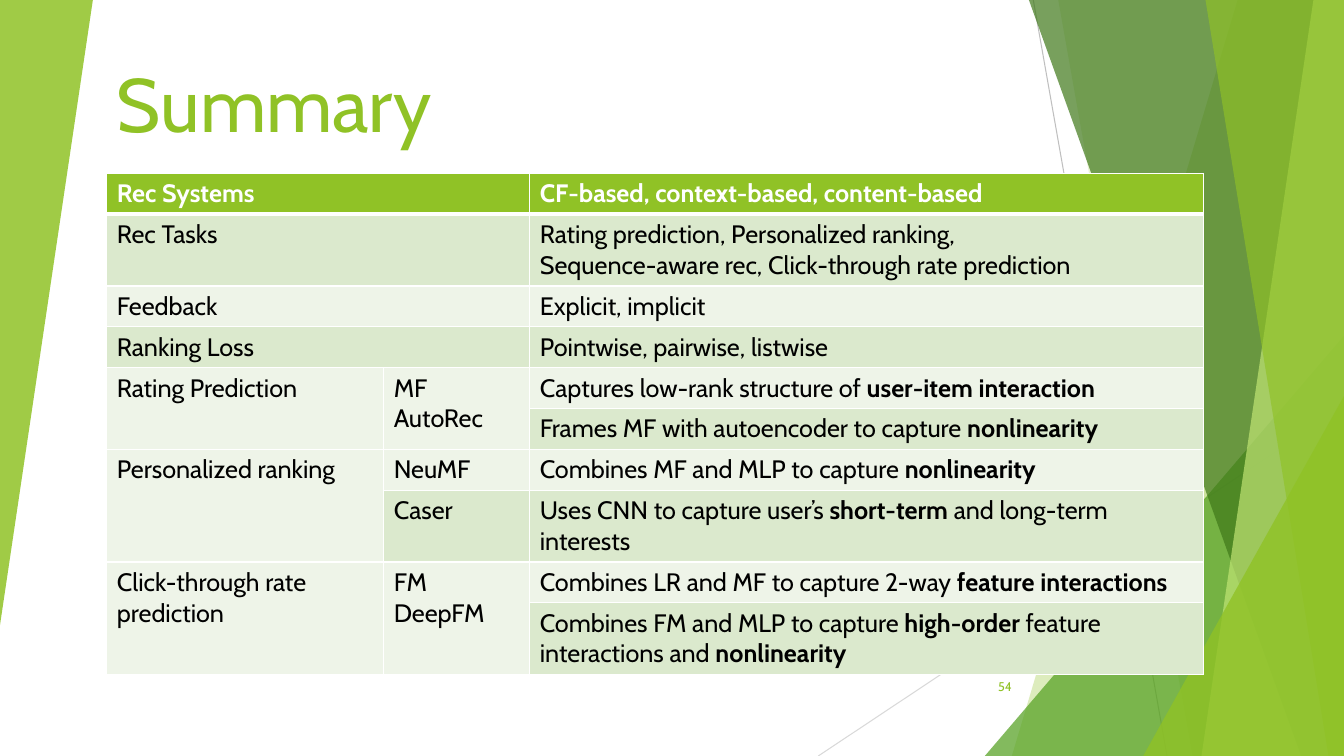
import pptx
import pptx.util
import pptx.dml.color
import pptx.enum.shapes
import pptx.enum.text
import pptx.oxml.ns
from dataclasses import dataclass
from lxml import etree

Cm = pptx.util.Cm
Pt = pptx.util.Pt
qn = pptx.oxml.ns.qn
ALIGN = pptx.enum.text.PP_ALIGN
ANCHOR = pptx.enum.text.MSO_ANCHOR
KIND = pptx.enum.shapes.MSO_SHAPE
WIDE, HIGH = 33.87, 19.05


@dataclass(frozen=True)
class Theme:
    font: str = "Cabin"
    lime: str = "90C226"
    leaf: str = "54A021"
    moss: str = "3F7819"
    pale: str = "C0E474"
    odd: str = "DBE9CD"
    even: str = "EEF4E8"
    white: str = "FFFFFF"
    black: str = "000000"
    grey: str = "BFBFBF"
    mist: str = "D9D9D9"
    title: int = 54
    body: int = 18
    note: int = 9


THEME = Theme()

# Table text: line breaks start paragraphs, ** marks bold
ROWS = [
    ("Rec Systems", "", "CF-based, context-based, content-based"),
    ("Rec Tasks", "", "Rating prediction, Personalized ranking,\n"
     "Sequence-aware rec, Click-through rate prediction"),
    ("Feedback", "", "Explicit, implicit"),
    ("Ranking Loss", "", "Pointwise, pairwise, listwise"),
    ("Rating Prediction", "MF\nAutoRec",
     "Captures low-rank structure of **user-item interaction**"),
    ("", "", "Frames MF with autoencoder to capture **nonlinearity**"),
    ("Personalized ranking", "NeuMF",
     "Combines MF and MLP to capture **nonlinearity**"),
    ("", "Caser",
     "Uses CNN to capture user’s **short-term** and long-term interests"),
    ("Click-through rate prediction", "FM\nDeepFM",
     "Combines LR and MF to capture 2-way **feature interactions**"),
    ("", "", "Combines FM and MLP to capture **high-order** feature "
     "interactions and **nonlinearity**"),
]
# First and last cell (row, column) of each merged block
SPANS = [((r, 0), (r, 1)) for r in range(4)] + [
    ((4, 0), (5, 0)), ((4, 1), (5, 1)), ((6, 0), (7, 0)),
    ((8, 0), (9, 0)), ((8, 1), (9, 1))]


def rgb(code):
    return pptx.dml.color.RGBColor.from_string(code)


def write(frame, text, size=THEME.body, color=THEME.black, bold=False,
          align=ALIGN.LEFT, anchor=ANCHOR.TOP):
    frame.word_wrap = True
    frame.vertical_anchor = anchor
    for i, line in enumerate(text.split("\n")):
        para = frame.add_paragraph() if i else frame.paragraphs[0]
        para.alignment = align
        for j, part in enumerate(line.split("**")):
            if part:
                run = para.add_run()
                run.text = part
                run.font.name = THEME.font
                run.font.size = Pt(size)
                run.font.bold = bold or j % 2 == 1
                run.font.color.rgb = rgb(color)


class Deck:
    def __init__(self, theme):
        self.theme = theme
        self.show = pptx.Presentation()
        self.show.slide_width = Cm(WIDE)
        self.show.slide_height = Cm(HIGH)
        self.slide = self.show.slides.add_slide(self.show.slide_layouts[5])
        self.shapes = self.slide.shapes

    def line(self, x1, y1, x2, y2, color):
        line = self.shapes.add_connector(
            pptx.enum.shapes.MSO_CONNECTOR.STRAIGHT,
            Cm(x1), Cm(y1), Cm(x2), Cm(y2))
        line.line.color.rgb = rgb(color)
        line.line.width = Pt(0.75)
        etree.SubElement(line.element.spPr, qn("a:effectLst"))

    def paint(self, shape, color, alpha):
        shape.shadow.inherit = False
        shape.line.fill.background()
        shape.fill.solid()
        shape.fill.fore_color.rgb = rgb(color)
        tint = shape.element.spPr.find(".//" + qn("a:srgbClr"))
        etree.SubElement(tint, qn("a:alpha"), val=str(alpha * 1000))

    def band(self, top, foot, color, alpha):
        """Fill from a slanted edge to the right side of the slide."""
        pen = self.shapes.build_freeform(Cm(top), 0)
        pen.add_line_segments([(Cm(WIDE), 0), (Cm(WIDE), Cm(HIGH)),
                               (Cm(foot), Cm(HIGH))], close=True)
        self.paint(pen.convert_to_shape(), color, alpha)

    def wedge(self, x, y, wide, high, color, alpha, turn=0):
        shape = self.shapes.add_shape(KIND.ISOSCELES_TRIANGLE, Cm(x), Cm(y),
                                      Cm(wide), Cm(high))
        shape.adjustments[0] = 1
        shape.rotation = turn
        self.paint(shape, color, alpha)

    def title(self, text, x, y, wide, high):
        box = self.shapes.title
        box.left, box.top, box.width, box.height = map(Cm, (x, y, wide, high))
        box.text_frame.auto_size = pptx.enum.text.MSO_AUTO_SIZE.NONE
        write(box.text_frame, text, size=self.theme.title,
              color=self.theme.lime, anchor=ANCHOR.BOTTOM)
        box.element.getparent().append(box.element)  # bring to front

    def label(self, text, x, y, wide, high, **style):
        box = self.shapes.add_textbox(Cm(x), Cm(y), Cm(wide), Cm(high))
        write(box.text_frame, text, **style)

    def edges(self, cell, row):
        """Draw white borders, thick below the header row."""
        props = cell._tc.get_or_add_tcPr()
        thick = {"T": row == 1, "B": row == 0}
        for i, side in enumerate("LRTB"):
            edge = etree.Element(qn("a:ln" + side),
                                 w=str(Pt(3 if thick.get(side) else 1)))
            fill = etree.SubElement(edge, qn("a:solidFill"))
            etree.SubElement(fill, qn("a:srgbClr"), val=self.theme.white)
            props.insert(i, edge)

    def table(self, rows, spans, x, y, widths, high):
        look = self.theme
        grid = self.shapes.add_table(
            len(rows), len(widths), Cm(x), Cm(y), Cm(sum(widths)),
            Cm(high * len(rows))).table
        for col, wide in zip(grid.columns, widths):
            col.width = Cm(wide)
        for first, last in spans:
            grid.cell(*first).merge(grid.cell(*last))
        for r, texts in enumerate(rows):
            grid.rows[r].height = Cm(high)
            head = r == 0
            back = look.lime if head else (look.even, look.odd)[r % 2]
            for c, text in enumerate(texts):
                cell = grid.cell(r, c)
                cell.fill.solid()
                cell.fill.fore_color.rgb = rgb(back)
                self.edges(cell, r)
                if text:
                    write(cell.text_frame, text, bold=head,
                          color=look.white if head else look.black)


def main():
    deck = Deck(THEME)

    # Backdrop, back to front
    deck.line(26.04, 0, 29.41, HIGH, THEME.grey)
    deck.line(WIDE, 10.24, 20.62, HIGH, THEME.mist)
    deck.band(31.19, 25.5, THEME.lime, 30)
    deck.band(26.67, 30.05, THEME.lime, 20)
    deck.wedge(24.82, 8.46, 9.05, 10.59, THEME.leaf, 72)
    deck.band(25.93, 32.79, THEME.moss, 70)
    deck.band(33.1, 30.28, THEME.pale, 70)
    deck.band(30.38, 33.48, THEME.lime, 65)
    deck.wedge(28.81, 9.98, 5.06, 9.07, THEME.lime, 80)
    deck.wedge(0, 0, 2.34, 15.75, THEME.lime, 85, turn=180)

    # Content
    deck.title("Summary", 2.69, 0.81, 21.56, 3.05)
    deck.table(ROWS, SPANS, 2.69, 4.37, (6.98, 3.68, 16.99), 1.03)
    deck.label("54", 23.85, 16.79, 1.9, 1.02, size=THEME.note,
               color=THEME.lime, align=ALIGN.RIGHT, anchor=ANCHOR.MIDDLE)

    deck.show.save("out.pptx")


if __name__ == "__main__":
    main()
